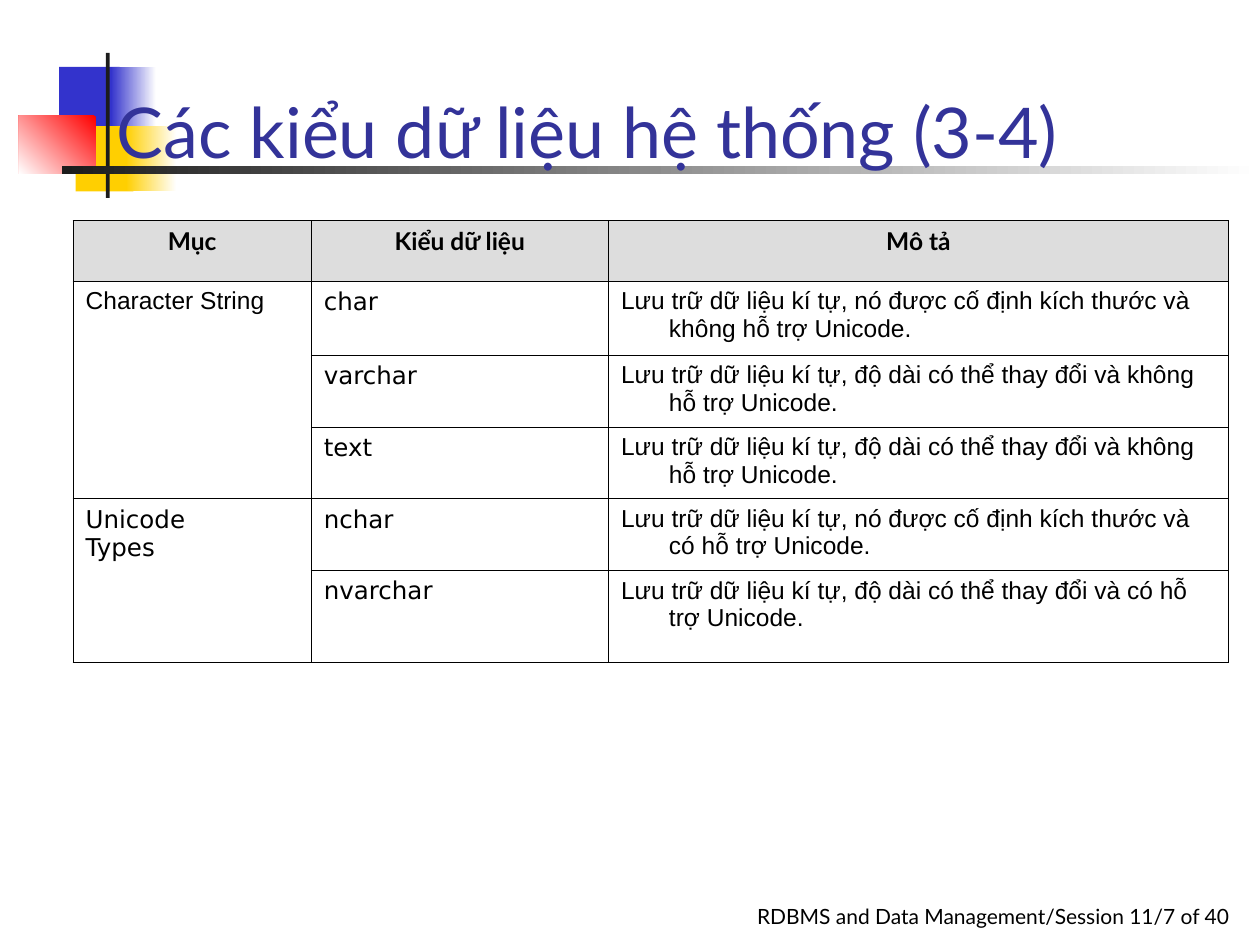
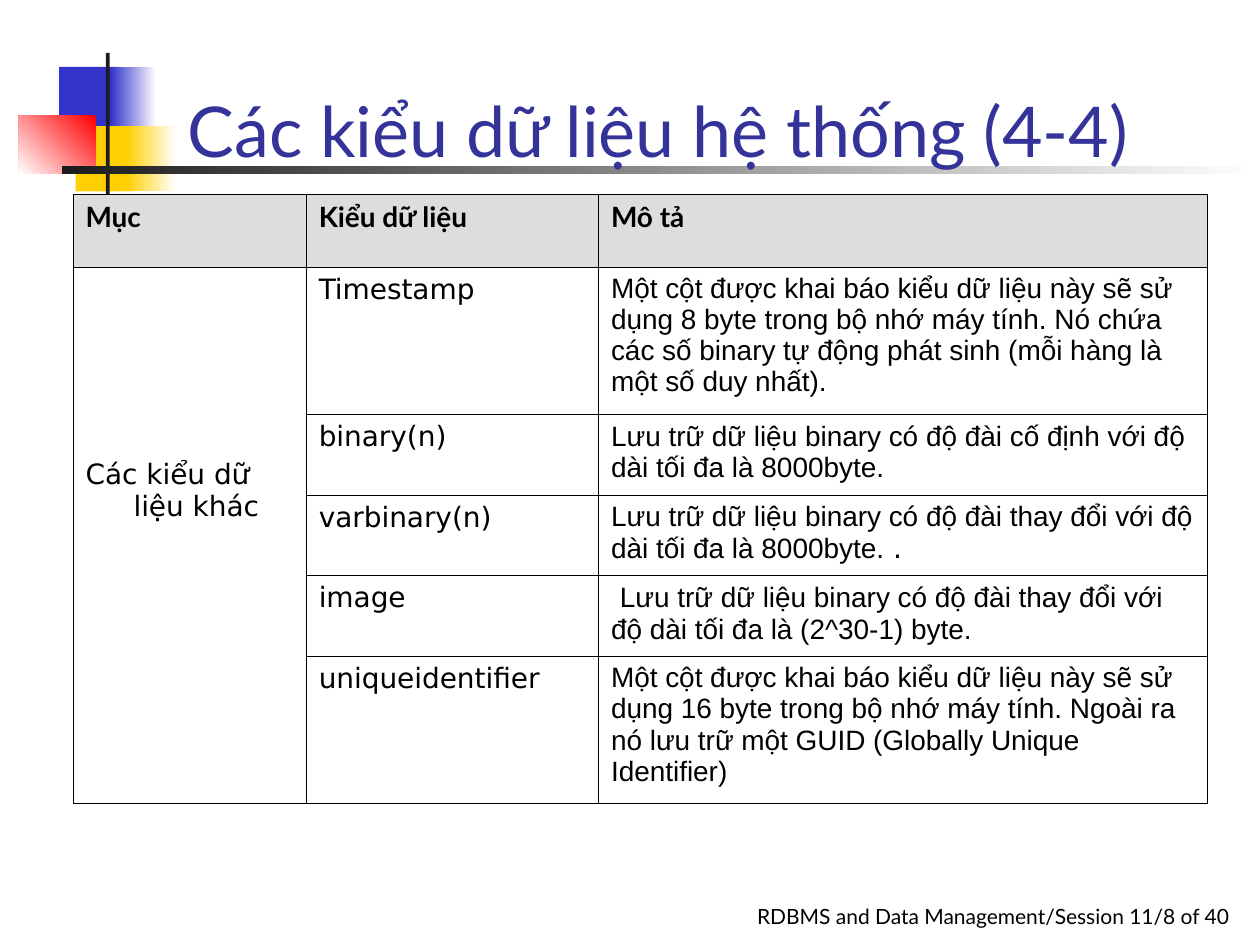
from pptx import Presentation
from pptx.dml.color import RGBColor
from pptx.enum.shapes import MSO_SHAPE
from pptx.enum.text import MSO_ANCHOR, PP_ALIGN
from pptx.oxml import parse_xml
from pptx.oxml.ns import nsdecls
from pptx.util import Inches, Pt

COLORS = {
    "title": "333399",
    "text": "000000",
    "header": "DDDDDD",
    "border": "000000",
    "blue": "3333CC",
    "yellow": "FFCF01",
    "red": "FF0000",
    "dark": "1C1C1C",
    "white": "FFFFFF",
}
HEADING_FONT = "Lato"
BODY_FONT = "Arial"
TYPE_FONT = "DejaVu Sans"
HANGING = 0.38
HEADERS = ["Mục", "Kiểu dữ liệu", "Mô tả"]

STRING_ROWS = [
    ([("Character String", BODY_FONT)], "char",
     "Lưu trữ dữ liệu kí tự, nó được cố định kích thước và không hỗ trợ Unicode."),
    (None, "varchar",
     "Lưu trữ dữ liệu kí tự, độ dài có thể thay đổi và không hỗ trợ Unicode."),
    (None, "text",
     "Lưu trữ dữ liệu kí tự, độ dài có thể thay đổi và không hỗ trợ Unicode."),
    ("Unicode\nTypes", "nchar",
     "Lưu trữ dữ liệu kí tự, nó được cố định kích thước và có hỗ trợ Unicode."),
    (None, "nvarchar",
     "Lưu trữ dữ liệu kí tự, độ dài có thể thay đổi và có hỗ trợ Unicode."),
]
OTHER_ROWS = [
    ("Các kiểu dữ liệu khác", "Timestamp",
     "Một cột được khai báo kiểu dữ liệu này sẽ sử dụng 8 byte trong bộ nhớ máy tính. "
     "Nó chứa các số binary tự động phát sinh (mỗi hàng là một số duy nhất)."),
    (None, "binary(n)",
     "Lưu trữ dữ liệu binary có độ đài cố định với độ dài tối đa là 8000byte."),
    (None, "varbinary(n)",
     [("Lưu trữ dữ liệu binary có độ đài thay đổi với độ dài tối đa là 8000byte.", BODY_FONT),
      (" .", TYPE_FONT)]),
    (None, "image",
     [(" ", TYPE_FONT),
      ("Lưu trữ dữ liệu binary có độ đài thay đổi với độ dài tối đa là (2^30-1) byte.",
       BODY_FONT)]),
    (None, "uniqueidentifier",
     "Một cột được khai báo kiểu dữ liệu này sẽ sử dụng 16 byte trong bộ nhớ máy tính. "
     "Ngoài ra nó lưu trữ một GUID (Globally Unique Identifier)"),
]


def rgb(name):
    return RGBColor.from_string(COLORS[name])


def write_text(frame, content, font=BODY_FONT, size=14, color="text", bold=False,
               align=PP_ALIGN.LEFT, hanging=0):
    if isinstance(content, str):
        paragraphs = [[(line, font)] for line in content.split("\n")]
    else:
        paragraphs = [content]
    for index, spans in enumerate(paragraphs):
        para = frame.add_paragraph() if index else frame.paragraphs[0]
        para.alignment = align
        if hanging:
            properties = para._p.get_or_add_pPr()
            properties.set("marL", str(Inches(hanging)))
            properties.set("indent", str(-Inches(hanging)))
        for text, span_font in spans:
            span = para.add_run()
            span.text = text
            span.font.name = span_font
            span.font.size = Pt(size)
            span.font.bold = bold
            span.font.color.rgb = rgb(color)


def add_text(page, place, content, anchor=MSO_ANCHOR.TOP, right_margin=0.1, **style):
    box = page.shapes.add_textbox(*map(Inches, place))
    frame = box.text_frame
    frame.word_wrap = True
    frame.vertical_anchor = anchor
    frame.margin_right = Inches(right_margin)
    write_text(frame, content, font=HEADING_FONT, **style)


def add_block(page, place, start, end=None, angle=180):
    block = page.shapes.add_shape(MSO_SHAPE.RECTANGLE, *map(Inches, place))
    block.shadow.inherit = False
    block.line.fill.background()
    if end is None:
        block.fill.solid()
        block.fill.fore_color.rgb = rgb(start)
        return
    block.fill.gradient()
    block.fill.gradient_angle = angle
    for stop, color in zip(block.fill.gradient_stops, (start, end)):
        stop.color.rgb = rgb(color)


def add_emblem(page):
    add_block(page, (0.47, 0.53, 0.48, 0.52), "blue")
    add_block(page, (0.88, 0.53, 0.36, 0.52), "white", "blue")
    add_block(page, (0.6, 1, 0.46, 0.52), "yellow")
    add_block(page, (1, 1, 0.4, 0.52), "white", "yellow")
    add_block(page, (0.15, 0.92, 0.61, 0.46), "red", "white", angle=225)
    add_block(page, (0.84, 0.42, 0.03, 1.15), "dark")
    add_block(page, (0.49, 1.32, 9.51, 0.06), "white", "dark")


def add_page(deck, number, title, title_place):
    page = deck.slides.add_slide(deck.slide_layouts[6])
    add_text(page, (5.75, 7.12, 4.17, 0.53),
             f"RDBMS and Data Management/Session 11/{number} of 40",
             size=12, align=PP_ALIGN.CENTER, right_margin=0)
    add_emblem(page)
    add_text(page, title_place, title, anchor=MSO_ANCHOR.BOTTOM, size=40, color="title")
    return page


def draw_borders(cell):
    properties = cell._tc.get_or_add_tcPr()
    for index, side in enumerate(("lnL", "lnR", "lnT", "lnB")):
        properties.insert(index, parse_xml(
            f'<a:{side} {nsdecls("a")} w="{Pt(0.45)}"><a:solidFill>'
            f'<a:srgbClr val="{COLORS["border"]}"/></a:solidFill></a:{side}>'))


def add_type_table(page, top, widths, heights, rows, groups, size,
                   header_align=PP_ALIGN.LEFT, description_hanging=0):
    frame = page.shapes.add_table(len(heights), len(widths), Inches(0.58), Inches(top),
                                  Inches(sum(widths)), Inches(sum(heights)))
    table = frame.table
    table.first_row = table.horz_banding = False
    for column, width in zip(table.columns, widths):
        column.width = Inches(width)
    for row, height in zip(table.rows, heights):
        row.height = Inches(height)
    for cell in table.iter_cells():
        cell.fill.background()
        draw_borders(cell)
    for cell, header in zip(table.rows[0].cells, HEADERS):
        cell.fill.solid()
        cell.fill.fore_color.rgb = rgb("header")
        write_text(cell.text_frame, header, font=HEADING_FONT, size=size, bold=True,
                   align=header_align, hanging=HANGING)
    for first, last in groups:
        table.cell(first, 0).merge(table.cell(last, 0))
    fonts = (TYPE_FONT, TYPE_FONT, BODY_FONT)
    indents = (HANGING, HANGING, description_hanging)
    for row_index, contents in enumerate(rows, 1):
        for column_index, content in enumerate(contents):
            if content is not None:
                write_text(table.cell(row_index, column_index).text_frame, content,
                           font=fonts[column_index], size=size,
                           hanging=indents[column_index])
    return table


def main():
    deck = Presentation()
    deck.slide_width, deck.slide_height = Inches(10), Inches(7.5)

    page = add_page(deck, 7, "Các kiểu dữ liệu hệ thống (3-4)", (0.83, 0.17, 9.08, 1.25))
    add_type_table(page, 1.75, (1.89, 2.36, 4.92), (0.48, 0.59, 0.57, 0.57, 0.57, 0.73),
                   STRING_ROWS, [(1, 3), (4, 5)], 14,
                   header_align=PP_ALIGN.CENTER, description_hanging=HANGING)

    page = add_page(deck, 8, "Các kiểu dữ liệu hệ thống (4-4)", (1.39, 0.58, 8.52, 0.83))
    table = add_type_table(page, 1.54, (1.85, 2.32, 4.83),
                           (0.58, 1.17, 0.64, 0.64, 0.64, 1.17),
                           OTHER_ROWS, [(1, 5)], 16)
    table.cell(1, 0).margin_top = Inches(1.52)

    deck.save("out.pptx")


if __name__ == "__main__":
    main()
